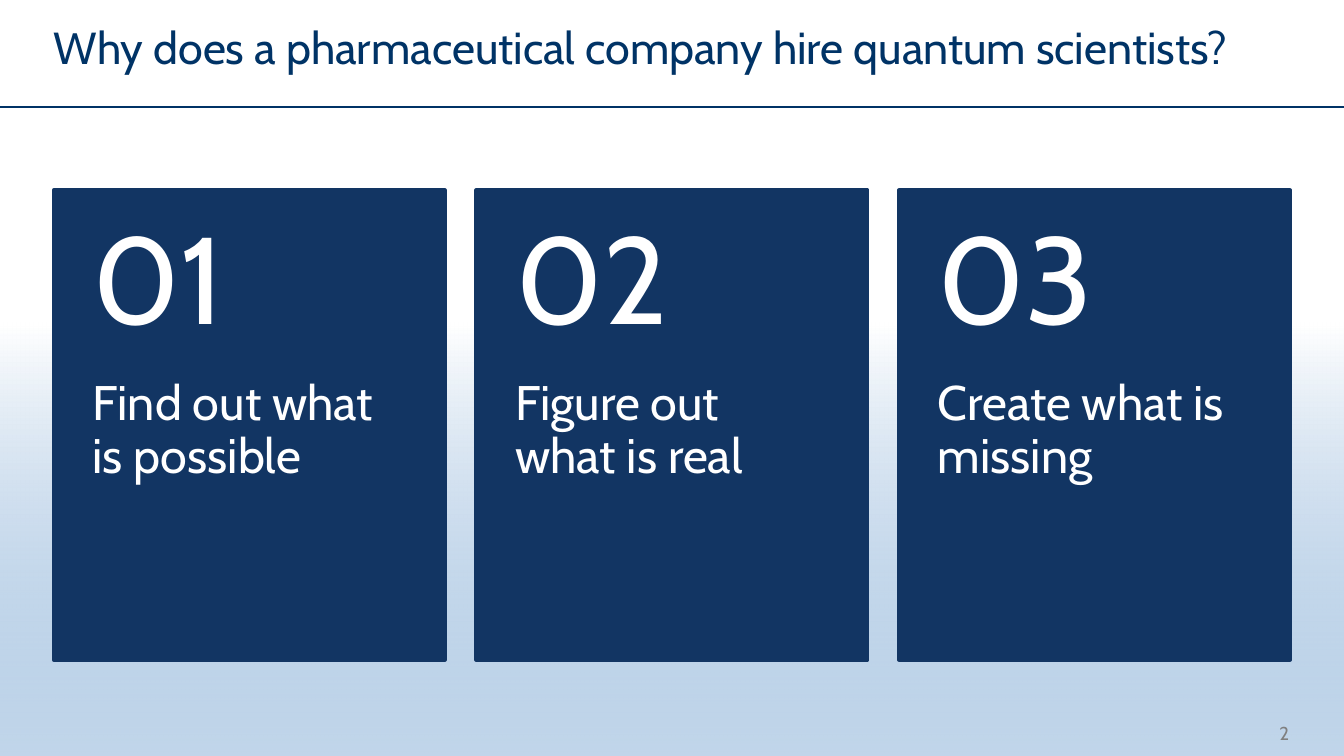
from dataclasses import dataclass

from lxml.etree import SubElement
from pptx import Presentation
from pptx.dml.color import RGBColor
from pptx.enum.shapes import MSO_CONNECTOR, MSO_SHAPE
from pptx.enum.text import MSO_ANCHOR, PP_ALIGN
from pptx.oxml.ns import qn
from pptx.util import Pt


@dataclass(frozen=True)
class Theme:
    font: str = "Cabin"
    navy: RGBColor = RGBColor(0x00, 0x33, 0x66)
    card: RGBColor = RGBColor(0x12, 0x35, 0x63)
    sky: RGBColor = RGBColor(0x66, 0x99, 0xCC)
    white: RGBColor = RGBColor(0xFF, 0xFF, 0xFF)
    gray: RGBColor = RGBColor(0x80, 0x80, 0x80)
    title_size: int = 24
    number_size: int = 66
    label_size: int = 26
    page_size: int = 10


THEME = Theme()
WIDTH, HEIGHT = 720, 405
MARGIN = 28.8
CARD_TOP, CARD_WIDTH, CARD_HEIGHT = 102, 209.6, 251.5
NUMBER_HEIGHT = 101
INSET = 20.8
LABELS = ["Find out what is possible", "Figure out what is real", "Create what is missing"]


def add_text(slide, box, text, size, color, insets=(0, 0, 0, 0), anchor=MSO_ANCHOR.TOP,
             align=PP_ALIGN.LEFT, line_spacing=1.0, wrap=True):
    shape = slide.shapes.add_textbox(*map(Pt, box))
    frame = shape.text_frame
    frame.word_wrap = wrap
    frame.vertical_anchor = anchor
    frame.margin_left, frame.margin_top, frame.margin_right, frame.margin_bottom = map(Pt, insets)
    paragraph = frame.paragraphs[0]
    paragraph.alignment = align
    paragraph.line_spacing = line_spacing
    run = paragraph.add_run()
    run.text = text
    run.font.name = THEME.font
    run.font.size = Pt(size)
    run.font.color.rgb = color


def add_rectangle(slide, box):
    shape = slide.shapes.add_shape(MSO_SHAPE.RECTANGLE, *map(Pt, box))
    shape.shadow.inherit = False
    return shape


def add_backdrop(slide):
    top = 173
    shape = add_rectangle(slide, (0, top, WIDTH, HEIGHT - top))
    shape.line.fill.background()
    shape.fill.gradient()
    shape.fill.gradient_angle = 90
    stops = shape.fill.gradient_stops
    for stop, color, position in zip(stops, (THEME.sky, THEME.white), (0, 1)):
        stop.color.rgb = color
        stop.position = position
    # The blue end is 40% opaque
    blue = next(shape.element.iter(qn("a:srgbClr")))
    SubElement(blue, qn("a:alpha")).set("val", "40000")


def add_rule(slide, y):
    line = slide.shapes.add_connector(MSO_CONNECTOR.STRAIGHT, Pt(0), Pt(y), Pt(WIDTH), Pt(y))
    line.line.color.rgb = THEME.navy
    line.line.width = Pt(1)
    SubElement(line.element.spPr, qn("a:effectLst"))


def add_card(slide, left, number, label):
    shape = add_rectangle(slide, (left, CARD_TOP, CARD_WIDTH, CARD_HEIGHT))
    shape.fill.solid()
    shape.fill.fore_color.rgb = THEME.card
    shape.line.color.rgb = THEME.card
    shape.line.width = Pt(2)
    add_text(slide, (left, CARD_TOP + NUMBER_HEIGHT, CARD_WIDTH, CARD_HEIGHT - NUMBER_HEIGHT),
             label, THEME.label_size, THEME.white, (INSET, 0, INSET, 26), line_spacing=0.9)
    add_text(slide, (left, CARD_TOP, CARD_WIDTH, NUMBER_HEIGHT), f"{number:02}",
             THEME.number_size, THEME.white, (INSET, 13, INSET, 13),
             anchor=MSO_ANCHOR.MIDDLE, line_spacing=0.9)


def main():
    presentation = Presentation()
    presentation.slide_width, presentation.slide_height = Pt(WIDTH), Pt(HEIGHT)
    slide = presentation.slides.add_slide(presentation.slide_layouts[6])
    slide.background.fill.solid()
    slide.background.fill.fore_color.rgb = THEME.white

    # Backdrop, header rule and page number
    add_backdrop(slide)
    add_rule(slide, 57.3)
    add_text(slide, (674.6, 386.6, 16, 12.2), "2", THEME.page_size, THEME.gray,
             anchor=MSO_ANCHOR.MIDDLE, align=PP_ALIGN.RIGHT, wrap=False)

    # Title
    add_text(slide, (MARGIN, 10.8, WIDTH - 2 * MARGIN, 44),
             "Why does a pharmaceutical company hire quantum scientists?",
             THEME.title_size, THEME.navy)

    # Cards spread evenly between the margins
    pitch = (WIDTH - 2 * MARGIN - CARD_WIDTH) / (len(LABELS) - 1)
    for index, label in enumerate(LABELS):
        add_card(slide, MARGIN + index * pitch, index + 1, label)

    presentation.save("out.pptx")


if __name__ == "__main__":
    main()
